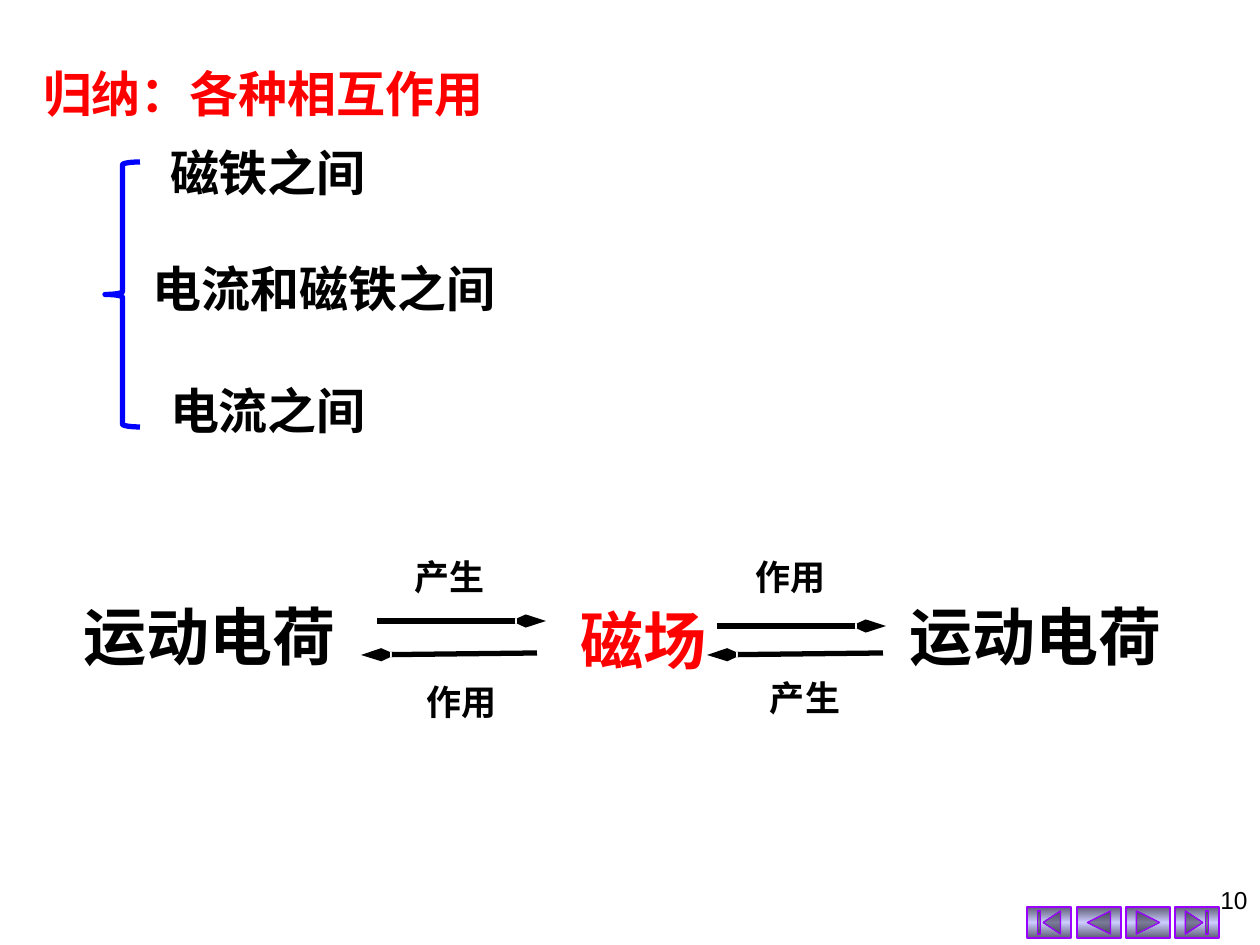
from copy import deepcopy

from pptx import Presentation
from pptx.dml.color import RGBColor
from pptx.enum.shapes import MSO_CONNECTOR, MSO_SHAPE as SHAPE
from pptx.enum.text import MSO_ANCHOR, MSO_AUTO_SIZE, PP_ALIGN as ALIGN
from pptx.oxml.ns import qn
from pptx.util import Emu, Pt
from lxml.etree import SubElement

SCALE = 914400 / 126
COLORS = {
    "black": "000000",
    "red": "FF0000",
    "blue": "0000FF",
    "violet": "9900FF",
    "button_edge": "5E5E76",
    "button_middle": "CCCCFF",
}


def px(n):
    return Emu(round(n * SCALE))


def color(name):
    return RGBColor.from_string(COLORS[name])


def write(s, text, size, fill="black", font="Times New Roman", bold=True,
          align=ALIGN.LEFT, wrap=True, indent=0):
    tf = s.text_frame
    tf.auto_size = MSO_AUTO_SIZE.NONE
    tf.word_wrap = wrap
    tf.vertical_anchor = MSO_ANCHOR.TOP
    tf.margin_left = px(13 + indent)
    p = tf.paragraphs[0]
    p.text = text
    p.alignment = align
    p.font.size = Pt(size)
    p.font.name = font
    p.font.bold = bold
    p.font.color.rgb = color(fill)


def add_title(slide, text, x, y, w, h):
    s = slide.shapes.title
    s.left, s.top, s.width, s.height = px(x), px(y), px(w), px(h)
    write(s, text, 28, "red", indent=12)


def add_text(slide, text, x, y, w, h, size, **style):
    s = slide.shapes.add_textbox(px(x), px(y), px(w), px(h))
    write(s, text, size, **style)


def add_arrow(slide, x1, y1, x2, y2):
    s = slide.shapes.add_connector(
        MSO_CONNECTOR.STRAIGHT, px(x1), px(y1), px(x2), px(y2))
    s.line.color.rgb = color("black")
    s.line.width = Pt(3)
    SubElement(s.line._get_or_add_ln(), qn("a:tailEnd"),
               type="arrow", w="sm", len="lg")
    SubElement(s._element.spPr, qn("a:effectLst"))


def add_brace(slide, x, y, w, h):
    s = slide.shapes.add_shape(SHAPE.LEFT_BRACE, px(x), px(y), px(w), px(h))
    s.adjustments[0] = 0.08
    s.shadow.inherit = False
    s.fill.background()
    s.line.color.rgb = color("blue")
    s.line.width = Pt(3)


def add_button(slide, kind, x, y, w, h):
    s = slide.shapes.add_shape(kind, px(x), px(y), px(w), px(h))
    s.shadow.inherit = False
    s.line.color.rgb = color("violet")
    s.line.width = Pt(0.75)
    s.fill.gradient()
    s.fill.gradient_angle = 90
    edge, middle = s.fill.gradient_stops
    edge.color.rgb = color("button_edge")
    edge.position = 0
    middle.color.rgb = color("button_middle")
    middle.position = 0.5
    stops = s._element.spPr.find(qn("a:gradFill")).find(qn("a:gsLst"))
    last = deepcopy(stops[0])
    last.set("pos", "100000")
    stops.append(last)


def main():
    prs = Presentation()
    prs.slide_width, prs.slide_height = px(1260), px(945)
    slide = prs.slides.add_slide(prs.slide_layouts[5])

    buttons = (SHAPE.ACTION_BUTTON_BEGINNING,
               SHAPE.ACTION_BUTTON_BACK_OR_PREVIOUS,
               SHAPE.ACTION_BUTTON_FORWARD_OR_NEXT,
               SHAPE.ACTION_BUTTON_END)
    for i, kind in enumerate(buttons):
        add_button(slide, kind, 1027 + round(i * 49.5), 907, 44, 31)
    add_text(slide, "10", 966, 879, 294, 66, 14,
             font="Arial", bold=False, align=ALIGN.RIGHT)

    add_title(slide, "归纳：各种相互作用", 18, 57, 609, 72)
    add_brace(slide, 105, 162, 35, 265)
    for text, x, y, w in (("磁铁之间", 145, 136, 306),
                          ("电流和磁铁之间", 128, 252, 488),
                          ("电流之间", 145, 374, 306)):
        add_text(slide, text, x, y, w, 72, 28, indent=12)

    for x in (71, 897):
        add_text(slide, "运动电荷", x, 591, 278, 88, 36, wrap=False)
    add_text(slide, "磁场", 568, 595, 169, 88, 36, fill="red")
    for text, x, y in (("产生", 401, 549), ("作用", 742, 549),
                       ("作用", 413, 674), ("产生", 757, 670)):
        add_text(slide, text, x, y, 96, 54, 20, wrap=False)
    for ends in ((377, 621, 546, 621), (537, 653, 361, 655),
                 (717, 626, 886, 626), (883, 653, 707, 655)):
        add_arrow(slide, *ends)

    prs.save("out.pptx")


if __name__ == "__main__":
    main()
